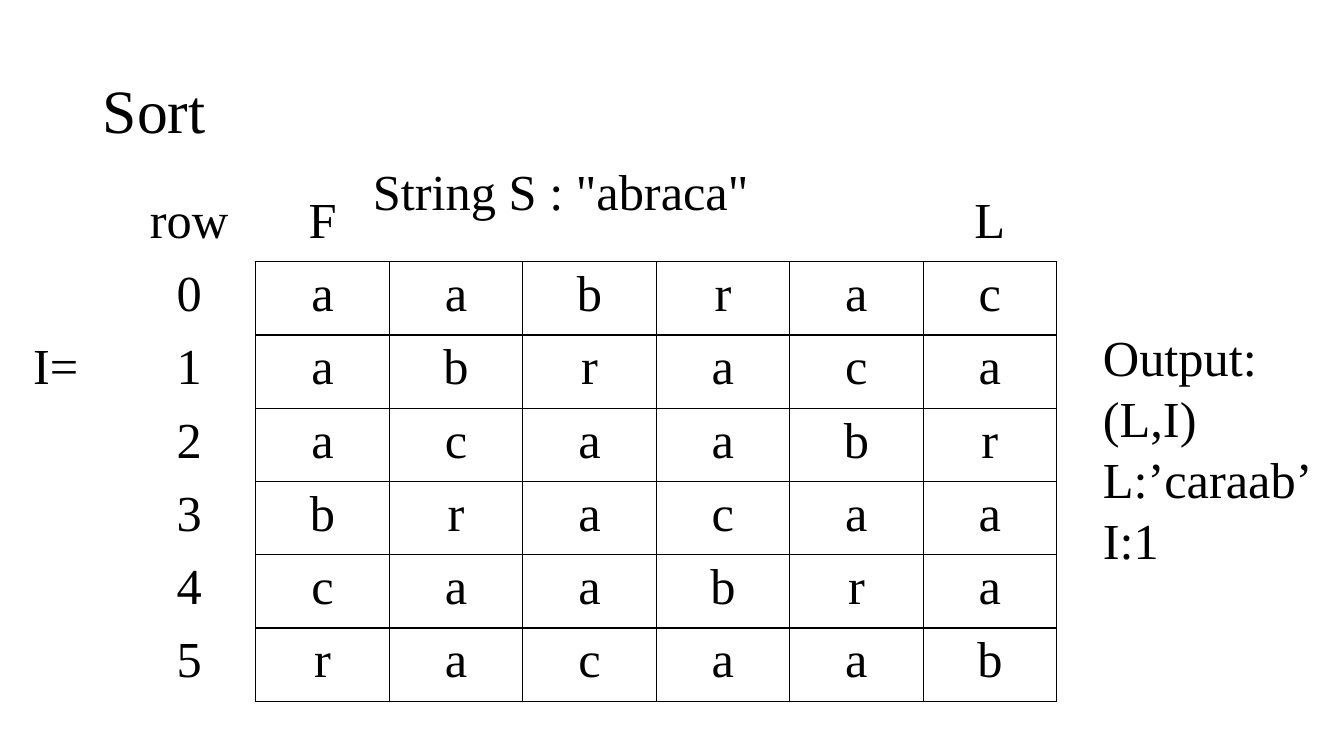
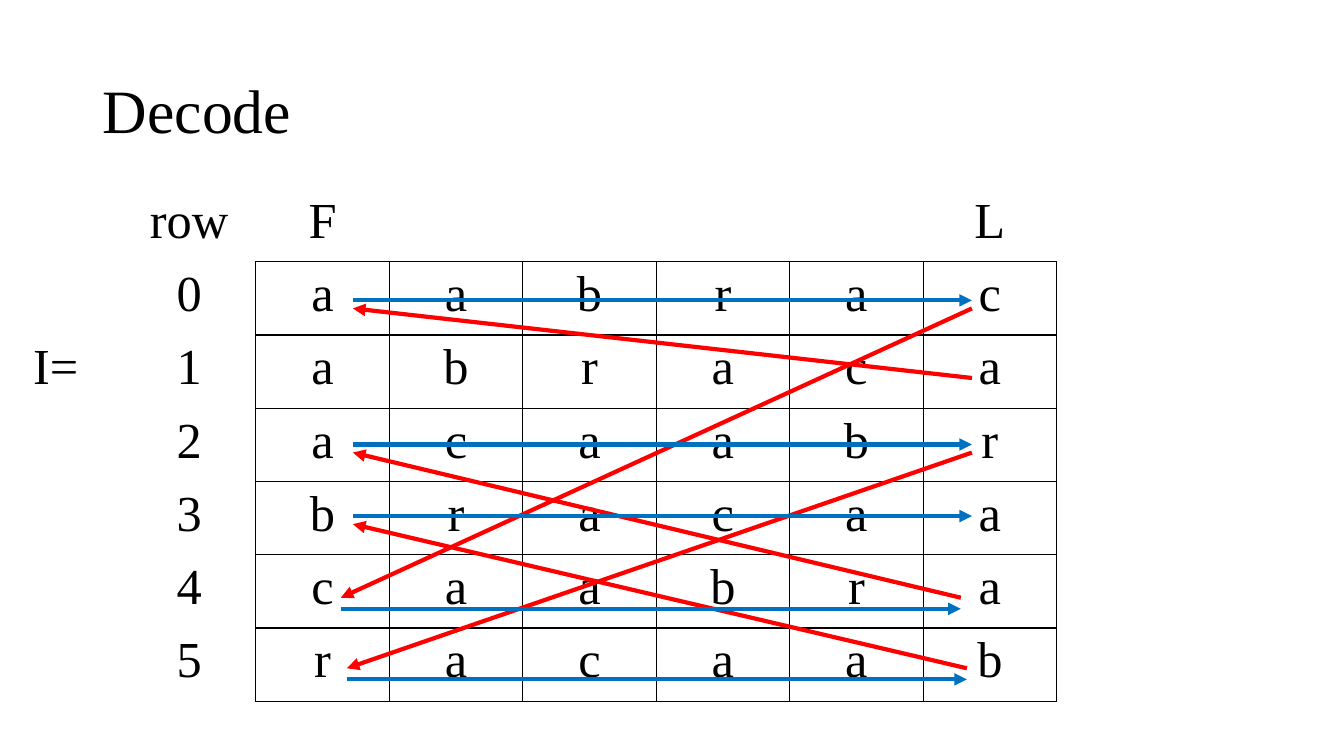
from itertools import pairwise

from lxml.etree import SubElement
from pptx import Presentation
from pptx.dml.color import RGBColor
from pptx.enum.shapes import MSO_CONNECTOR
from pptx.enum.text import MSO_ANCHOR, MSO_AUTO_SIZE, PP_ALIGN
from pptx.oxml import parse_xml
from pptx.oxml.ns import nsdecls, qn
from pptx.util import Inches, Pt

FONT = "Times New Roman"
BLACK, RED, BLUE = "000000", "FF0000", "0070C0"

ROTATIONS = ["aabrac", "abraca", "acaabr", "bracaa", "caabra", "racaab"]
START_ROW = 1
HEADER = ["", "row", "F", "", "", "", "", "L"]
LABEL_COLUMNS = 2
NOTES = [
    (10.84, 3.18, 2.31, 2.52, ["Output:", "(L,I)", "L:’caraab’", "I:1"]),
    (3.6, 1.53, 4.09, 0.71, ['String S : "abraca"']),
]

DECODE_ORDER = [1, 0, 4, 2, 5, 3]
F_EDGE = [3.5, 3.5, 3.5, 3.5, 3.38, 3.44]
L_EDGE = [9.64, 9.64, 9.64, 9.64, 9.53, 9.59]
JUMP_Y = [3.06, 3.75, 4.49, 5.2, 5.93, 6.63]
SCAN_SHIFT = [-0.08, -0.08, -0.08, -0.08, 0.11, 0.11]

TABLE_LEFT, TABLE_TOP, TABLE_WIDTH, TABLE_HEIGHT = -0.11, 1.87, 10.59, 5.09


def rgb(value):
    return RGBColor.from_string(value)


def style(paragraph, size):
    paragraph.font.name = FONT
    paragraph.font.size = Pt(size)
    paragraph.font.color.rgb = rgb(BLACK)


def add_titled_slide(deck, text):
    slide = deck.slides.add_slide(deck.slide_layouts[5])
    title = slide.shapes.title
    title.left, title.top = Inches(0.92), Inches(0.4)
    title.width, title.height = Inches(11.5), Inches(1.45)
    title.text_frame.text = text
    title.text_frame.vertical_anchor = MSO_ANCHOR.MIDDLE
    heading = title.text_frame.paragraphs[0]
    heading.alignment = PP_ALIGN.LEFT
    heading.line_spacing = 0.9
    style(heading, 44)
    return slide


def set_borders(cell, visible_sides):
    properties = cell._tc.get_or_add_tcPr()
    for position, side in enumerate("LRTB"):
        paint = (f'<a:solidFill><a:srgbClr val="{BLACK}"/></a:solidFill>'
                 if side in visible_sides else "<a:noFill/>")
        border = f'<a:ln{side} {nsdecls("a")} w="{Pt(1)}">{paint}</a:ln{side}>'
        properties.insert(position, parse_xml(border))


def visible_sides(row, column):
    if row and column >= LABEL_COLUMNS:
        return "LRTB"
    if row:
        return "R" if column == LABEL_COLUMNS - 1 else ""
    return "B" if column >= LABEL_COLUMNS else ""


def add_rotation_table(slide):
    rows = [HEADER] + [
        ["I=" if number == START_ROW else "", str(number), *letters]
        for number, letters in enumerate(ROTATIONS)
    ]
    table = slide.shapes.add_table(
        len(rows), len(HEADER), Inches(TABLE_LEFT), Inches(TABLE_TOP),
        Inches(TABLE_WIDTH), Inches(TABLE_HEIGHT)).table
    table.first_row = table.horz_banding = False
    for row, texts in enumerate(rows):
        for column, text in enumerate(texts):
            cell = table.cell(row, column)
            cell.fill.background()
            set_borders(cell, visible_sides(row, column))
            if text:
                cell.text = text
                letter = cell.text_frame.paragraphs[0]
                letter.alignment = PP_ALIGN.CENTER
                style(letter, 36)


def add_note(slide, left, top, width, height, lines):
    frame = slide.shapes.add_textbox(
        Inches(left), Inches(top), Inches(width), Inches(height)).text_frame
    frame.word_wrap = False
    frame.auto_size = MSO_AUTO_SIZE.SHAPE_TO_FIT_TEXT
    frame.text = "\n".join(lines)
    for paragraph in frame.paragraphs:
        paragraph.line_spacing = Pt(43.5)
        style(paragraph, 36)


def add_arrow(slide, start, end, color):
    arrow = slide.shapes.add_connector(
        MSO_CONNECTOR.STRAIGHT, *(Inches(value) for value in (*start, *end)))
    arrow.line.color.rgb = rgb(color)
    arrow.line.width = Pt(3)
    SubElement(arrow.line._get_or_add_ln(), qn("a:tailEnd"), type="triangle")
    SubElement(arrow._element.spPr, qn("a:effectLst"))


def main():
    """Build the sort and decode slides of the string transform."""
    deck = Presentation()
    deck.slide_width, deck.slide_height = Inches(13.33), Inches(7.5)

    sort = add_titled_slide(deck, "Sort")
    add_rotation_table(sort)
    for note in NOTES:
        add_note(sort, *note)

    decode = add_titled_slide(deck, "Decode")
    add_rotation_table(decode)
    for source, target in pairwise(DECODE_ORDER):
        add_arrow(decode, (L_EDGE[source], JUMP_Y[source]),
                  (F_EDGE[target], JUMP_Y[target]), RED)
    for row in sorted(DECODE_ORDER[1:]):
        scan_y = JUMP_Y[row] + SCAN_SHIFT[row]
        add_arrow(decode, (F_EDGE[row], scan_y), (L_EDGE[row], scan_y), BLUE)

    deck.save("out.pptx")


if __name__ == "__main__":
    main()
